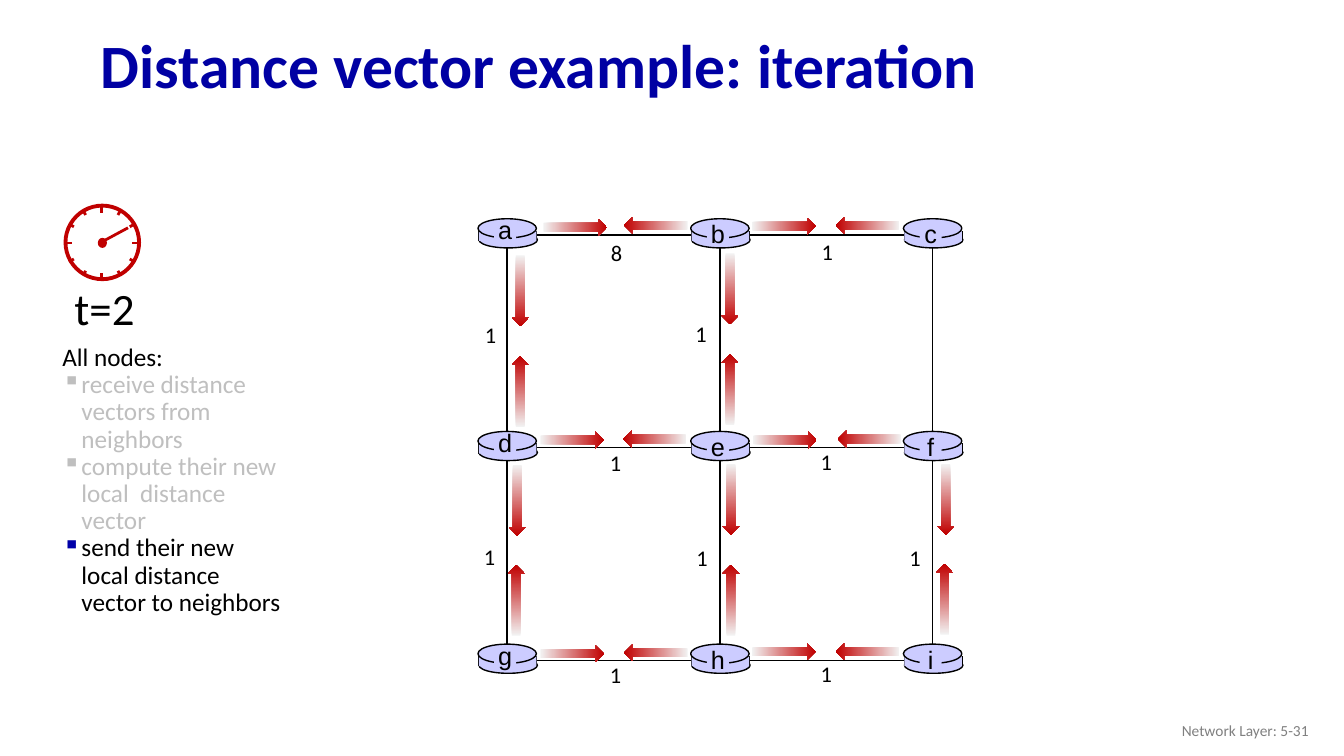
from math import cos, pi, sin

from lxml.etree import SubElement
from pptx import Presentation
from pptx.dml.color import RGBColor
from pptx.enum.shapes import MSO_CONNECTOR, MSO_SHAPE
from pptx.enum.text import MSO_ANCHOR, MSO_AUTO_SIZE, PP_ALIGN
from pptx.oxml.ns import qn
from pptx.util import Inches, Pt

BLACK, RED, GRAY, LILAC = "000000", "C00000", "BFBFBF", "CCCCFF"
TITLE_BLUE, ACCENT_BLUE = "0000A3", "0000A8"
GRID_LEFT, GRID_TOP, GRID_STEP = 5.03, 2.33, 2.11
ROUTER_ROWS = ("abc", "def", "ghi")
HORIZONTAL_ARROW, VERTICAL_ARROW = 0.63, 0.7
ARROW_THICKNESS = 0.17

# Each link: forward arrow, return arrow, cost, cost position
HORIZONTAL_LINKS = (
    ((5.39, 2.17), (6.19, 2.15), "8", (5.96, 2.32)),
    ((7.46, 2.16), (8.29, 2.15), "1", (8.05, 2.31)),
    ((5.36, 4.28), (6.18, 4.27), "1", (5.95, 4.41)),
    ((7.47, 4.28), (8.31, 4.27), "1", (8.04, 4.4)),
    ((5.36, 6.4), (6.19, 6.39), "1", (5.95, 6.51)),
    ((7.46, 6.38), (8.29, 6.38), "1", (8.04, 6.5)),
)
VERTICAL_LINKS = (
    ((4.81, 2.8), (4.81, 3.8), "1", (4.71, 3.14)),
    ((6.89, 2.78), (6.89, 3.78), "1", (6.8, 3.13)),
    ((4.78, 4.88), (4.77, 5.87), "1", (4.7, 5.34)),
    ((6.9, 4.87), (6.9, 5.87), "1", (6.81, 5.35)),
    ((9.03, 4.87), (9.02, 5.86), "1", (8.92, 5.35)),
)
STEPS = (
    ("receive distance vectors from neighbors", GRAY, GRAY),
    ("compute their new local  distance vector", GRAY, GRAY),
    ("send their new local distance vector to neighbors", BLACK, ACCENT_BLUE),
)


def color(value):
    """Return the colour for a hex string."""
    return RGBColor.from_string(value)


def format_paragraph(paragraph, size, font_color, font="Calibri", bold=False):
    """Format every run of a paragraph."""
    for run in paragraph.runs:
        run.font.name = font
        run.font.size = Pt(size)
        run.font.bold = bold
        run.font.color.rgb = color(font_color)


def add_text(shapes, box, text, size, font_color=BLACK, font="Calibri",
             align=PP_ALIGN.LEFT, wrap=False):
    """Add a one-paragraph text box and return its text frame."""
    text_frame = shapes.add_textbox(*map(Inches, box)).text_frame
    text_frame.word_wrap = wrap
    text_frame.text = text
    paragraph = text_frame.paragraphs[0]
    paragraph.alignment = align
    format_paragraph(paragraph, size, font_color, font)
    return text_frame


def add_figure(shapes, kind, box, fill=None, line=None, width=1):
    """Add a preset shape with an optional fill and outline."""
    shape = shapes.add_shape(kind, *map(Inches, box))
    shape.shadow.inherit = False
    if fill:
        shape.fill.solid()
        shape.fill.fore_color.rgb = color(fill)
    else:
        shape.fill.background()
    if line:
        shape.line.color.rgb = color(line)
        shape.line.width = Pt(width)
    else:
        shape.line.fill.background()
    return shape


def add_line(shapes, start, end, line=BLACK, width=1):
    """Add a straight line between two points."""
    connector = shapes.add_connector(
        MSO_CONNECTOR.STRAIGHT, *map(Inches, (*start, *end)))
    connector.line.color.rgb = color(line)
    connector.line.width = Pt(width)
    SubElement(connector._element.spPr, qn("a:effectLst"))


def add_arrow(shapes, position, length, rotation):
    """Add a block arrow that fades in towards its head."""
    arrow = add_figure(shapes, MSO_SHAPE.RIGHT_ARROW,
                       (*position, length, ARROW_THICKNESS))
    arrow.rotation = rotation
    arrow.fill.gradient()
    arrow.fill.gradient_angle = 0
    for stop, position, value in zip(arrow.fill.gradient_stops, (0, 1), ("F2F2F2", RED)):
        stop.position = position
        stop.color.rgb = color(value)


def add_router(slide, letter, column, row):
    """Add a lettered router at a grid crossing."""
    left = GRID_LEFT - 0.29 + column * GRID_STEP
    top = GRID_TOP - 0.16 + row * GRID_STEP
    shapes = slide.shapes.add_group_shape().shapes
    add_figure(shapes, MSO_SHAPE.OVAL, (left + 0.01, top + 0.13, 0.58, 0.16), LILAC, BLACK)
    for side in (left + 0.01, left + 0.58):
        add_line(shapes, (side, top + 0.12), (side, top + 0.22))
    add_figure(shapes, MSO_SHAPE.RECTANGLE, (left + 0.01, top + 0.12, 0.57, 0.1), LILAC)
    add_figure(shapes, MSO_SHAPE.OVAL, (left, top, 0.58, 0.19), LILAC, BLACK)
    add_figure(shapes, MSO_SHAPE.RECTANGLE, (left + 0.16, top + 0.05, 0.22, 0.2), LILAC)
    letter_top = top - (0.09 if column == 0 else 0.05)
    add_text(shapes, (left + 0.1, letter_top, 0.34, 0.4), letter, 18,
             font="Arial", align=PP_ALIGN.CENTER)


def add_links(shapes, links, length, rotations):
    """Add the arrow pair and the cost of each link."""
    for forward, back, cost, cost_position in links:
        for position, rotation in zip((forward, back), rotations):
            add_arrow(shapes, position, length, rotation)
        add_text(shapes, (*cost_position, 0.33, 0.37), cost, 16)


def add_grid(shapes):
    """Add the outer square and the two middle lines."""
    side = 2 * GRID_STEP
    middle_x, middle_y = GRID_LEFT + GRID_STEP, GRID_TOP + GRID_STEP
    add_line(shapes, (middle_x, GRID_TOP + side), (middle_x, GRID_TOP))
    add_line(shapes, (GRID_LEFT, middle_y), (GRID_LEFT + side, middle_y))
    add_figure(shapes, MSO_SHAPE.RECTANGLE, (GRID_LEFT, GRID_TOP, side, side), line=BLACK)


def add_clock(slide):
    """Add the clock with its time label."""
    shapes = slide.shapes.add_group_shape().shapes
    center_x, center_y, outer = 1.01, 2.41, 0.37
    add_text(shapes, (0.64, 2.74, 0.81, 0.64), "t=2", 32)
    add_figure(shapes, MSO_SHAPE.OVAL, (0.65, 2.04, 0.73, 0.73), line=RED, width=2.75)
    for hour in range(12):
        inner = 0.3 if hour % 3 == 0 else 0.32
        start, end = ((center_x + radius * cos(hour * pi / 6),
                       center_y + radius * sin(hour * pi / 6))
                      for radius in (inner, outer))
        add_line(shapes, start, end, RED, 2)
    add_figure(shapes, MSO_SHAPE.OVAL, (0.97, 2.36, 0.09, 0.1), RED)
    add_line(shapes, (1.27, 2.26), (center_x, 2.4), RED, 2)


def add_bullet(paragraph, bullet_color):
    """Give a paragraph a hanging square bullet."""
    properties = paragraph._p.get_or_add_pPr()
    properties.set("marL", str(Inches(0.19)))
    properties.set("indent", str(Inches(-0.19)))
    bullet = SubElement(properties, qn("a:buClr"))
    SubElement(bullet, qn("a:srgbClr"), val=bullet_color)
    SubElement(properties, qn("a:buChar"), char="▪")


def add_steps(shapes):
    """Add the list of what all nodes do."""
    text_frame = add_text(shapes, (0.52, 3.37, 2.4, 2.83), "All nodes:", 18, wrap=True)
    text_frame.paragraphs[0].line_spacing = 0.9
    for text, font_color, bullet_color in STEPS:
        paragraph = text_frame.add_paragraph()
        paragraph.text = text
        paragraph.line_spacing = 0.9
        format_paragraph(paragraph, 18, font_color)
        add_bullet(paragraph, bullet_color)


def set_title(title):
    """Place and format the slide title."""
    title.left, title.top, title.width, title.height = map(Inches, (0.9, 0.19, 11.5, 0.98))
    text_frame = title.text_frame
    text_frame.text = "Distance vector example: "
    text_frame.auto_size = MSO_AUTO_SIZE.NONE
    text_frame.vertical_anchor = MSO_ANCHOR.MIDDLE
    paragraph = text_frame.paragraphs[0]
    paragraph.alignment = PP_ALIGN.LEFT
    paragraph.line_spacing = 0.9
    ending = paragraph.add_run()
    ending.text = "iteration"
    format_paragraph(paragraph, 44, TITLE_BLUE, bold=True)
    ending.font.color.rgb = color(ACCENT_BLUE)


def main():
    """Build the slide and save it."""
    presentation = Presentation()
    presentation.slide_width, presentation.slide_height = Inches(13.33), Inches(7.5)
    slide = presentation.slides.add_slide(presentation.slide_layouts[5])
    set_title(slide.shapes.title)
    add_text(slide.shapes, (10.08, 7.05, 3, 0.4), "Network Layer: 5-31", 11, "808080",
             align=PP_ALIGN.RIGHT, wrap=True).vertical_anchor = MSO_ANCHOR.MIDDLE
    add_grid(slide.shapes)
    for row, letters in enumerate(ROUTER_ROWS):
        for column, letter in enumerate(letters):
            add_router(slide, letter, column, row)
    add_links(slide.shapes, HORIZONTAL_LINKS, HORIZONTAL_ARROW, (0, 180))
    add_links(slide.shapes, VERTICAL_LINKS, VERTICAL_ARROW, (90, 270))
    add_steps(slide.shapes)
    add_clock(slide)
    presentation.save("out.pptx")


if __name__ == "__main__":
    main()
